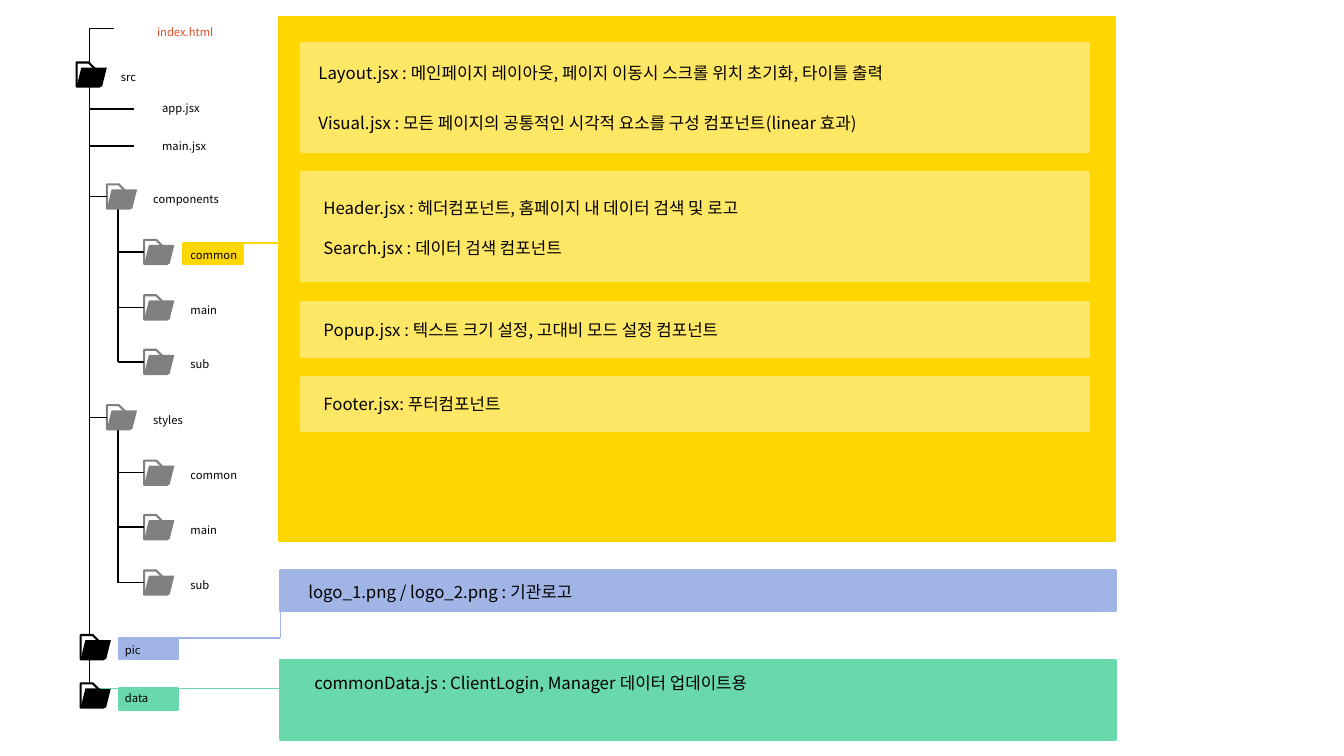
"""Project folder tree with a description panel for each highlighted folder."""
from lxml.etree import SubElement
from pptx import Presentation
from pptx.dml.color import RGBColor
from pptx.enum.shapes import MSO_CONNECTOR, MSO_SHAPE
from pptx.oxml.ns import qn
from pptx.util import Pt

PX = 9144
FONT = "Noto Sans CJK KR"
COLORS = {
    "black": "000000", "gray": "808080", "white": "FFFFFF", "orange": "E54D26",
    "yellow": "FFD700", "pale": "FFE766", "blue": "A0B4E6", "green": "69D8AD",
}

deck = Presentation()
deck.slide_width, deck.slide_height = 1333 * PX, 750 * PX
page = deck.slides.add_slide(deck.slide_layouts[6])


def add_block(kind, left, top, width, height, fill, border=None):
    block = page.shapes.add_shape(kind, left * PX, top * PX, width * PX, height * PX)
    block.shadow.inherit = False
    block.fill.solid()
    block.fill.fore_color.rgb = RGBColor.from_string(COLORS[fill])
    if border:
        block.line.color.rgb = RGBColor.from_string(COLORS[border])
        block.line.width = Pt(1.5)
    else:
        block.line.fill.background()
    return block


def add_line(start_x, start_y, end_x, end_y, color):
    line = page.shapes.add_connector(
        MSO_CONNECTOR.STRAIGHT, start_x * PX, start_y * PX, end_x * PX, end_y * PX)
    line.line.color.rgb = RGBColor.from_string(COLORS[color])
    line.line.width = Pt(1)
    SubElement(line._element.spPr, qn("a:effectLst"))
    return line


panels = [
    (277, 17, 829, 520, "yellow"),
    (278, 655, 829, 79, "green"),
    (278, 566, 829, 40, "blue"),
    (299, 43, 781, 108, "pale"),
    (299, 171, 781, 108, "pale"),
    (299, 300, 781, 54, "pale"),
    (299, 374, 781, 54, "pale"),
]
tags = [
    (118, 633, 59, 21, "blue"),
    (118, 683, 59, 21, "green"),
    (182, 241, 59, 21, "yellow"),
]
for left, top, width, height, color in panels + tags:
    add_block(MSO_SHAPE.RECTANGLE, left, top, width, height, color, color)

tree_lines = [
    (89, 28, 89, 685), (89, 28, 113, 28), (89, 108, 133, 108), (89, 145, 133, 145),
    (117, 204, 117, 359), (117, 422, 117, 578),
]
for ends in tree_lines:
    add_line(*ends, "black")

labels = [
    ("index.html", 146, 20, 80, 8, "orange"),
    ("app.jsx", 151, 96, 80, 8, "black"),
    ("main.jsx", 151, 133, 80, 8, "black"),
    ("Layout.jsx : 메인페이지 레이아웃, 페이지 이동시 스크롤 위치 초기화, 타이틀 출력", 306, 57, 761, 12, "black"),
    ("Visual.jsx : 모든 페이지의 공통적인 시각적 요소를 구성 컴포넌트(linear 효과)", 306, 107, 730, 12, "black"),
    ("Header.jsx : 헤더컴포넌트, 홈페이지 내 데이터 검색 및 로고", 311, 191, 730, 12, "black"),
    ("Search.jsx : 데이터 검색 컴포넌트", 311, 231, 730, 12, "black"),
    ("Popup.jsx : 텍스트 크기 설정, 고대비 모드 설정 컴포넌트", 311, 312, 730, 12, "black"),
    ("Footer.jsx: 푸터컴포넌트", 311, 386, 730, 12, "black"),
    ("logo_1.png / logo_2.png : 기관로고", 296, 572, 730, 12, "black"),
    ("commonData.js : ClientLogin, Manager 데이터 업데이트용", 302, 662, 730, 12, "black"),
]

folders = [("src", 76, 62, "black"), ("pic", 80, 630, "black"), ("data", 80, 678, "black")]
subfolders = ["components", "common", "main", "sub", "styles", "common", "main", "sub"]
for row, name in enumerate(subfolders):
    folders.append((name, 143 if row % 4 else 106, 183 + round(row * 54.75), "gray"))

for name, left, top, color in folders:
    back = add_block(MSO_SHAPE.SNIP_1_RECTANGLE, left, top, 23, 24, "white", color)
    back.adjustments[0] = 0.48
    if color == "gray":
        trunk_x = 89 if left == 106 else 117
        branch = add_line(trunk_x, top + 12, left, top + 12, "black")
        branch.end_connect(back, 1)
    front = add_block(MSO_SHAPE.PARALLELOGRAM, left, top + 5, 30, 19, color)
    front.adjustments[0] = 0.25
    label_gap = 36 if color == "gray" else 34
    labels.append((name, left + label_gap, top + 3, 112, 8, "black"))

add_line(236, 241, 277, 241, "yellow")
add_line(99, 683, 278, 683, "green")
add_line(154, 633, 278, 633, "blue")
add_line(278, 633, 278, 590, "blue")

for text, left, top, width, size, color in labels:
    height = 30 if size == 12 else 23
    box = page.shapes.add_textbox(left * PX, top * PX, width * PX, height * PX)
    box.text_frame.word_wrap = True
    box.text_frame.text = text
    span = box.text_frame.paragraphs[0].runs[0]
    span.font.size = Pt(size)
    span.font.name = FONT
    span.font.color.rgb = RGBColor.from_string(COLORS[color])
    SubElement(span.font._element, qn("a:ea"), typeface=FONT)

deck.save("out.pptx")
